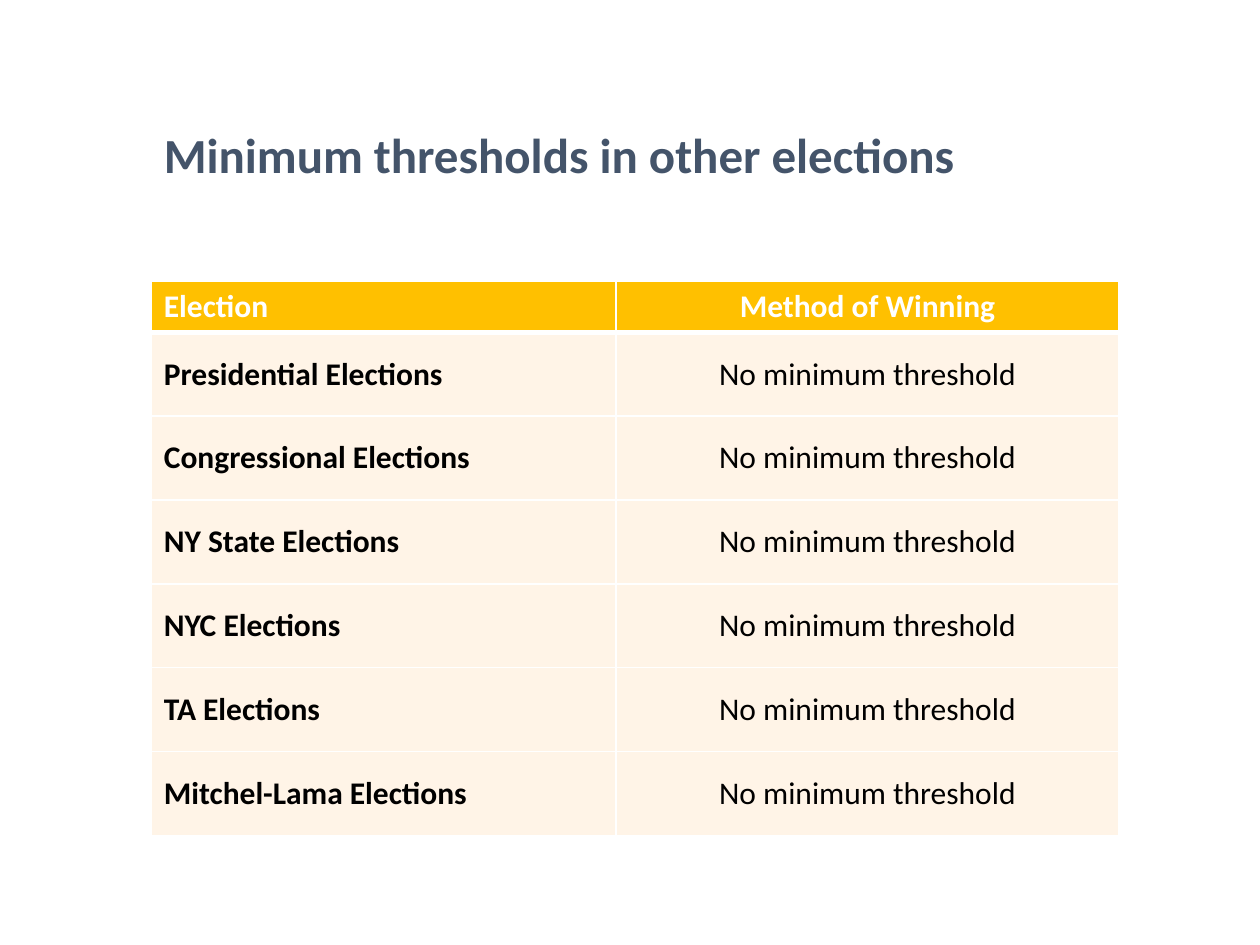
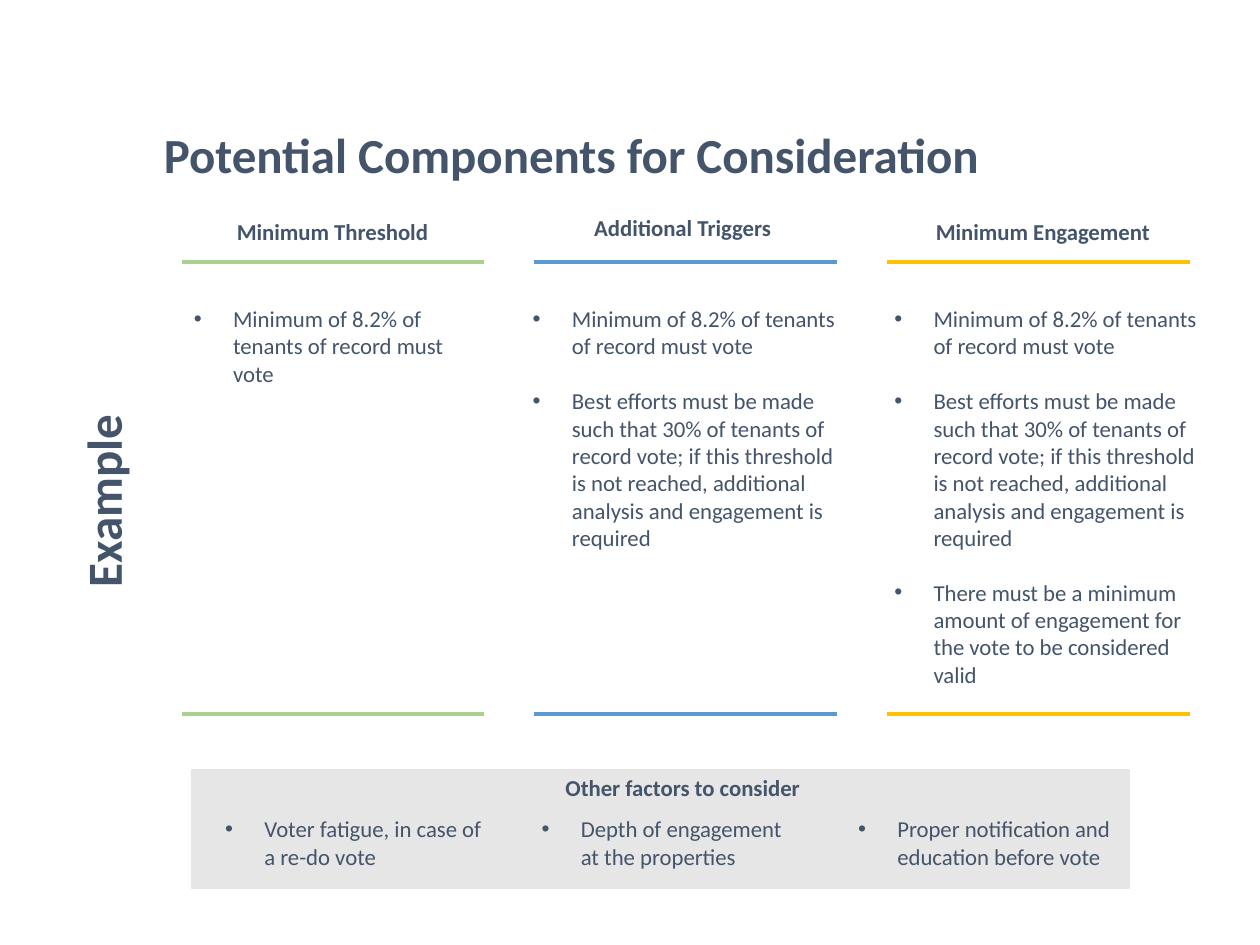
from lxml import etree
from pptx import Presentation
from pptx import util as u
from pptx.dml.color import RGBColor
from pptx.enum import shapes, text
from pptx.oxml.ns import qn

SLATE = RGBColor(0x44, 0x54, 0x6A)
GOLD = RGBColor(0xFF, 0xC0, 0x00)
GREEN = RGBColor(0xA9, 0xD1, 0x8E)
BLUE = RGBColor(0x5B, 0x9B, 0xD5)
CREAM = RGBColor(0xFF, 0xF4, 0xE7)
GREY = RGBColor(0xE7, 0xE6, 0xE6)
WHITE = RGBColor(0xFF, 0xFF, 0xFF)
BLACK = RGBColor(0, 0, 0)
FONT = "Calibri"
TITLE_SIZE, TABLE_SIZE, BODY_SIZE = 28, 18, 13

# Column rules on the components slide, in cm
COLUMN_LEFT, COLUMN_STEP, COLUMN_WIDTH = 3.66, 7.11, 6.1
RULE_TOP, RULE_BOTTOM = 5.28, 14.4
INDENT = 0.79

ELECTIONS = ["Presidential Elections", "Congressional Elections",
             "NY State Elections", "NYC Elections", "TA Elections",
             "Mitchel-Lama Elections"]

TURNOUT = "Minimum of 8.2% of tenants of record must vote"
EFFORTS = ("Best efforts must be made such that 30% of tenants of record vote; "
           "if this threshold is not reached, additional analysis and "
           "engagement is required")
ENGAGEMENT = ("There must be a minimum amount of engagement for the vote "
              "to be considered valid")

# heading, heading centre, heading top, list left, list width, colour, points
COMPONENTS = [
    ("Minimum Threshold", 6.7, 4.27, 3.66, 5.69, GREEN, [TURNOUT]),
    ("Additional Triggers", 13.76, 4.19, 10.49, 6.68, BLUE,
     [TURNOUT, EFFORTS]),
    ("Minimum Engagement", 21.02, 4.27, 17.78, 6.68, GOLD,
     [TURNOUT, EFFORTS, ENGAGEMENT]),
]
FACTORS = ["Voter fatigue, in case of a re-do vote",
           "Depth of engagement at the properties",
           "Proper notification and education before vote"]


def style(para, size, color, bold=False, align=text.PP_ALIGN.LEFT):
    para.alignment = align
    for span in para.runs:
        span.font.name = FONT
        span.font.size = u.Pt(size)
        span.font.bold = bold
        span.font.color.rgb = color


def add_page(deck, title):
    page = deck.slides.add_slide(deck.slide_layouts[5])
    box = page.shapes.title
    box.left, box.top = u.Cm(3.05), u.Cm(0.15)
    box.width, box.height = u.Cm(21.03), u.Cm(3.68)
    frame = box.text_frame
    frame.text = title
    frame.word_wrap = True
    frame.auto_size = text.MSO_AUTO_SIZE.NONE
    frame.vertical_anchor = text.MSO_ANCHOR.BOTTOM
    frame.paragraphs[0].line_spacing = 0.9
    style(frame.paragraphs[0], TITLE_SIZE, SLATE, bold=True)
    return page


def add_box(page, left, top, width, height):
    box = page.shapes.add_textbox(u.Cm(left), u.Cm(top), u.Cm(width), u.Cm(height))
    box.text_frame.word_wrap = True
    return box


def add_heading(page, words, center, top, size=BODY_SIZE, width=5.3, height=0.81):
    box = add_box(page, center - width / 2, top, width, height)
    box.text_frame.text = words
    style(box.text_frame.paragraphs[0], size, SLATE, True, text.PP_ALIGN.CENTER)
    return box


def add_bullets(page, points, left, top, width, height):
    frame = add_box(page, left, top, width, height).text_frame
    for index, point in enumerate(points):
        para = frame.paragraphs[0] if index == 0 else frame.add_paragraph()
        props = para._p.get_or_add_pPr()
        props.set("marL", str(u.Cm(INDENT)))
        props.set("indent", str(-u.Cm(INDENT)))
        etree.SubElement(props, qn("a:buFont"), typeface="Arial")
        etree.SubElement(props, qn("a:buChar"), char="•")
        para.text = point
        if index:
            para.space_before = u.Pt(15.7)
        style(para, BODY_SIZE, SLATE)


def add_rule(page, left, top, width, color):
    line = page.shapes.add_connector(
        shapes.MSO_CONNECTOR.STRAIGHT,
        u.Cm(left), u.Cm(top), u.Cm(left + width), u.Cm(top))
    line.line.color.rgb = color
    line.line.width = u.Pt(2.25)
    etree.SubElement(line._element.spPr, qn("a:effectLst"))


def set_borders(cell, top=1, bottom=1):
    props = cell._tc.get_or_add_tcPr()
    sides = [("a:lnL", 1), ("a:lnR", 1), ("a:lnT", top), ("a:lnB", bottom)]
    for index, (tag, width) in enumerate(sides):
        line = etree.Element(qn(tag), w=str(u.Pt(width)))
        fill = etree.SubElement(line, qn("a:solidFill"))
        etree.SubElement(fill, qn("a:srgbClr"), val=str(WHITE))
        props.insert(index, line)


def add_election_table(page, rows):
    widths, header_height, row_height = (9.37, 10.14), 0.94, 1.69
    height = header_height + row_height * (len(rows) - 1)
    table = page.shapes.add_table(
        len(rows), len(widths), u.Cm(3.05), u.Cm(5.67),
        u.Cm(sum(widths)), u.Cm(height)).table
    for column, width in zip(table.columns, widths):
        column.width = u.Cm(width)
    for r, words in enumerate(rows):
        header = r == 0
        table.rows[r].height = u.Cm(header_height if header else row_height)
        for c, word in enumerate(words):
            cell = table.cell(r, c)
            cell.text = word
            cell.vertical_anchor = text.MSO_ANCHOR.MIDDLE
            cell.fill.solid()
            cell.fill.fore_color.rgb = GOLD if header else CREAM
            set_borders(cell, top=3 if r == 1 else 1, bottom=3 if header else 1)
            style(cell.text_frame.paragraphs[0], TABLE_SIZE,
                  WHITE if header else BLACK, header or c == 0,
                  text.PP_ALIGN.CENTER if c else text.PP_ALIGN.LEFT)


def add_panel(page, left, top, width, height):
    panel = page.shapes.add_shape(shapes.MSO_SHAPE.RECTANGLE, u.Cm(left),
                                  u.Cm(top), u.Cm(width), u.Cm(height))
    panel.shadow.inherit = False
    panel.fill.solid()
    panel.fill.fore_color.rgb = GREY
    panel.line.color.rgb = GREY
    panel.line.width = u.Pt(1)


def build_thresholds(deck):
    page = add_page(deck, "Minimum thresholds in other elections")
    rows = [("Election", "Method of Winning")]
    rows += [(election, "No minimum threshold") for election in ELECTIONS]
    add_election_table(page, rows)


def build_components(deck):
    page = add_page(deck, "Potential Components for Consideration")

    # Three columns between coloured rules
    for index, component in enumerate(COMPONENTS):
        heading, center, top, left, width, color, points = component
        add_heading(page, heading, center, top)
        for rule in (RULE_TOP, RULE_BOTTOM):
            add_rule(page, COLUMN_LEFT + index * COLUMN_STEP, rule,
                     COLUMN_WIDTH, color)
        add_bullets(page, points, left, 6.02, width, 8)

    # Side label
    label = add_heading(page, "Example", 2.07, 9.37, TITLE_SIZE, 5.26, 1.45)
    label.rotation = 270

    # Other factors
    add_panel(page, 3.86, 15.52, 18.9, 2.39)
    add_heading(page, "Other factors to consider", 13.76, 15.47, width=6)
    for index, factor in enumerate(FACTORS):
        add_bullets(page, [factor], 4.29 + index * 6.38, 16.31, 5.69, 1.37)


def main():
    deck = Presentation()
    deck.slide_width, deck.slide_height = u.Cm(25.4), u.Cm(19.05)
    build_thresholds(deck)
    build_components(deck)
    deck.save("out.pptx")


if __name__ == "__main__":
    main()
